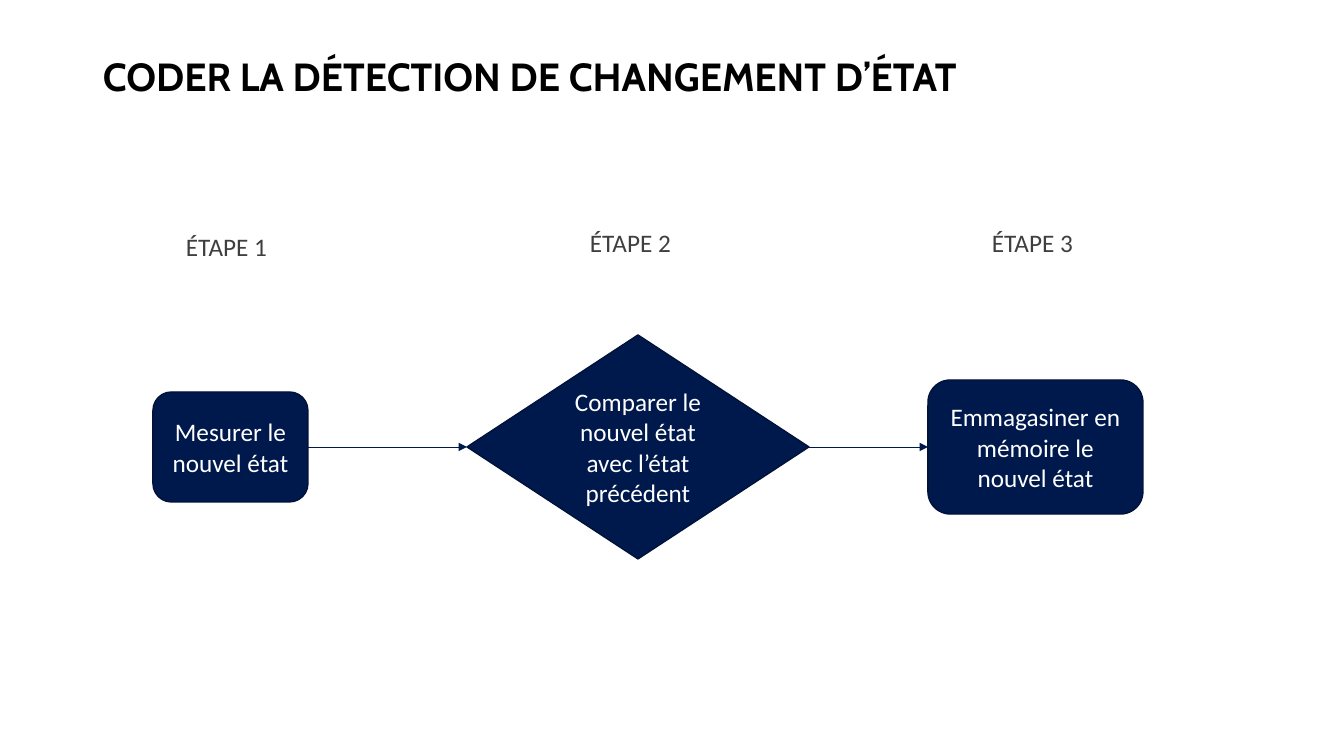
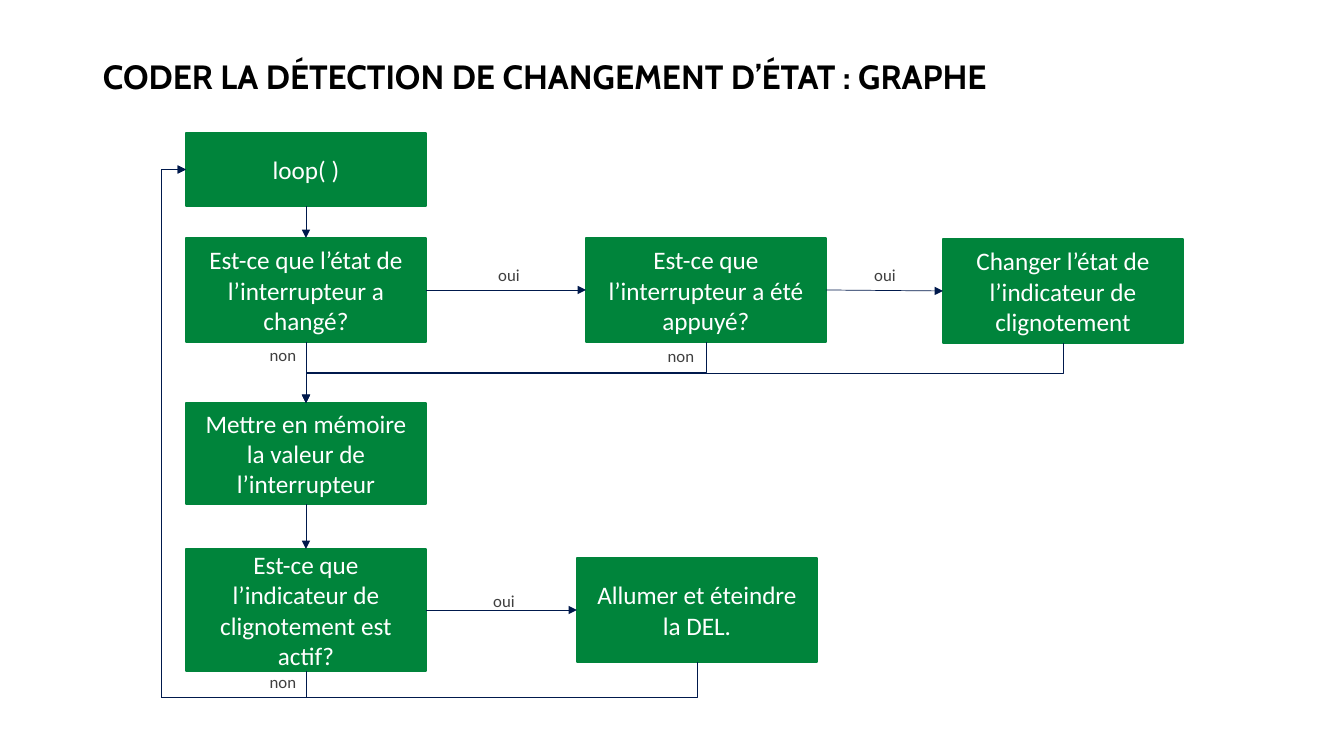
from lxml import etree
from pptx import Presentation
from pptx.dml.color import RGBColor
from pptx.enum.shapes import MSO_CONNECTOR, MSO_SHAPE
from pptx.enum.text import MSO_ANCHOR, MSO_AUTO_SIZE, PP_ALIGN
from pptx.oxml.ns import qn
from pptx.util import Pt

PX = 914400 / 100.8
SLIDE_WIDTH, SLIDE_HEIGHT = 1344, 756

NAVY = RGBColor(0x00, 0x19, 0x4C)
DARK_NAVY = RGBColor(0x00, 0x12, 0x38)
GREEN = RGBColor(0x00, 0x84, 0x3B)
GREY = RGBColor(0x3F, 0x3F, 0x3F)
BLACK = RGBColor(0, 0, 0)
WHITE = RGBColor(255, 255, 255)

TITLE_FONT, BODY_FONT = "Cabin", "Calibri"
TITLE_AREA = (93, 40, 1159, 77)

RECT, ROUNDED, DIAMOND = MSO_SHAPE.RECTANGLE, MSO_SHAPE.ROUNDED_RECTANGLE, MSO_SHAPE.DIAMOND
STRAIGHT, ELBOW = MSO_CONNECTOR.STRAIGHT, MSO_CONNECTOR.ELBOW
CENTER, LEFT = PP_ALIGN.CENTER, PP_ALIGN.LEFT
TOP_SIDE, LEFT_SIDE, BOTTOM_SIDE, RIGHT_SIDE = range(4)
ACROSS = (RIGHT_SIDE, LEFT_SIDE)
DOWN = (BOTTOM_SIDE, TOP_SIDE)

STEPS_TITLE = "CODER LA DÉTECTION DE CHANGEMENT D’ÉTAT"
STEP_LABELS = [("ÉTAPE 1", 176, 226), ("ÉTAPE 2", 580, 222), ("ÉTAPE 3", 982, 222)]
STEP_LABEL_SIZE = (108, 40)
STEP_AXIS = 447
# name: (text, shape, left, width, height)
STEPS = {
    "measure": ("Mesurer le nouvel état", ROUNDED, 153, 155, 110),
    "compare": ("Comparer le nouvel état avec l’état précédent", DIAMOND, 467, 342, 224),
    "store": ("Emmagasiner en mémoire le nouvel état", ROUNDED, 928, 215, 134),
}
STEP_ARROWS = [("measure", "compare", ACROSS), ("compare", "store", ACROSS)]

GRAPH_TITLE = "CODER LA DÉTECTION DE CHANGEMENT D’ÉTAT : GRAPHE"
NODE_WIDTH = 240
# name: (text, left, top, height)
NODES = {
    "loop": ("loop( )", 186, 133, 73),
    "changed": ("Est-ce que l’état de l’interrupteur a changé?", 186, 238, 104),
    "pressed": ("Est-ce que l’interrupteur a été appuyé?", 586, 238, 104),
    "toggle": ("Changer l’état de l’indicateur de clignotement", 943, 239, 104),
    "remember": ("Mettre en mémoire la valeur de l’interrupteur", 186, 403, 101),
    "active": ("Est-ce que l’indicateur de clignotement est actif?", 186, 549, 122),
    "blink": ("Allumer et éteindre la DEL.", 577, 558, 104),
}
NODE_ARROWS = [
    ("loop", "changed", DOWN),
    ("changed", "pressed", ACROSS),
    ("pressed", "toggle", ACROSS),
    ("changed", "remember", DOWN),
    ("remember", "active", DOWN),
    ("active", "blink", ACROSS),
]
MERGES = [("pressed", "remember"), ("toggle", "remember")]
RETURNS = [("active", "loop"), ("blink", "loop")]
RETURN_LEFT, RETURN_BOTTOM = 161, 697
BRANCH_LABELS = [
    ("oui", 478, 260), ("oui", 854, 260), ("oui", 473, 586),
    ("non", 650, 341), ("non", 252, 340), ("non", 252, 667),
]
BRANCH_LABEL_SIZE = (62, 30)


def emu(*lengths):
    return [round(length * PX) for length in lengths]


def add_text(page, text, area, size, color, font=BODY_FONT, align=LEFT, wrap=True):
    box = page.shapes.add_textbox(*emu(*area))
    frame = box.text_frame
    frame.word_wrap = wrap
    para = frame.paragraphs[0]
    para.text = text
    para.alignment = align
    style_font(para.font, font, size, color)
    return box


def style_font(font, name, size, color):
    font.name, font.size = name, Pt(size)
    font.color.rgb = color


def add_page(deck, title, size):
    page = deck.slides.add_slide(deck.slide_layouts[6])
    frame = add_text(page, title, TITLE_AREA, size, BLACK, TITLE_FONT).text_frame
    frame.vertical_anchor = MSO_ANCHOR.MIDDLE
    frame.paragraphs[0].line_spacing = 0.9
    frame.paragraphs[0].font.bold = True
    return page


def add_labels(page, labels, label_size, text_size, align, wrap):
    for text, left, top in labels:
        box = add_text(page, text, (left, top, *label_size), text_size, GREY,
                       align=align, wrap=wrap)
        box.text_frame.auto_size = MSO_AUTO_SIZE.SHAPE_TO_FIT_TEXT


def add_box(page, kind, text, area, fill, outline):
    box = page.shapes.add_shape(kind, *emu(*area))
    box.shadow.inherit = False
    box.fill.solid()
    box.fill.fore_color.rgb = fill
    box.line.color.rgb = outline
    box.line.width = Pt(1)
    frame = box.text_frame
    frame.word_wrap = True
    frame.vertical_anchor = MSO_ANCHOR.MIDDLE
    para = frame.paragraphs[0]
    para.text = text
    para.alignment = CENTER
    style_font(para.font, BODY_FONT, 18, WHITE)
    return box


def add_arrow(page, start, end, sides, kind=STRAIGHT):
    arrow = page.shapes.add_connector(kind, 0, 0, 0, 0)
    arrow.begin_connect(start, sides[0])
    arrow.end_connect(end, sides[1])
    arrow.line.color.rgb = NAVY
    arrow.line.width = Pt(0.5)
    etree.SubElement(arrow.line._get_or_add_ln(), qn("a:tailEnd"), type="triangle")
    etree.SubElement(arrow._element.spPr, qn("a:effectLst"))
    return arrow


def add_elbow(page, start, end, sides, lanes=None):
    """Leave downwards; lanes give the lower and left limits of a return path."""
    arrow = add_arrow(page, start, end, sides, ELBOW)
    x1, y1, x2, y2 = arrow.begin_x, arrow.begin_y, arrow.end_x, arrow.end_y
    width, height = abs(x2 - x1), abs(y2 - y1)
    frame = arrow._element.spPr.find(qn("a:xfrm"))
    for flip in ("flipH", "flipV"):
        frame.attrib.pop(flip, None)
    # The preset starts sideways, so its frame is turned a quarter about the centre.
    frame.set("rot", "5400000")
    arrow.left, arrow.top = (x1 + x2 - height) // 2, (y1 + y2 - width) // 2
    arrow.width, arrow.height = height, width
    if lanes:
        left, bottom = emu(*lanes)
        frame.set("flipH", "1")
        geometry = arrow._element.spPr.find(qn("a:prstGeom"))
        geometry.set("prst", "bentConnector4")
        guides = geometry.find(qn("a:avLst"))
        ratios = ((y1 - bottom) / height, (x1 - left) / width)
        for number, ratio in enumerate(ratios, 1):
            etree.SubElement(guides, qn("a:gd"), name=f"adj{number}",
                             fmla=f"val {round(ratio * 100000)}")


def add_arrows(page, boxes, arrows):
    for start, end, sides in arrows:
        add_arrow(page, boxes[start], boxes[end], sides)


def build_steps(deck):
    page = add_page(deck, STEPS_TITLE, 28)
    add_labels(page, STEP_LABELS, STEP_LABEL_SIZE, 18, LEFT, False)
    boxes = {
        name: add_box(page, kind, text, (left, STEP_AXIS - height / 2, width, height),
                      NAVY, DARK_NAVY)
        for name, (text, kind, left, width, height) in STEPS.items()
    }
    add_arrows(page, boxes, STEP_ARROWS)


def build_graph(deck):
    page = add_page(deck, GRAPH_TITLE, 24)
    boxes = {
        name: add_box(page, RECT, text, (left, top, NODE_WIDTH, height), GREEN, GREEN)
        for name, (text, left, top, height) in NODES.items()
    }
    add_arrows(page, boxes, NODE_ARROWS)
    for start, end in MERGES:
        add_elbow(page, boxes[start], boxes[end], DOWN)
    for start, end in RETURNS:
        add_elbow(page, boxes[start], boxes[end], (BOTTOM_SIDE, LEFT_SIDE),
                  (RETURN_LEFT, RETURN_BOTTOM))
    add_labels(page, BRANCH_LABELS, BRANCH_LABEL_SIZE, 12, CENTER, True)


def main():
    deck = Presentation()
    deck.slide_width, deck.slide_height = emu(SLIDE_WIDTH, SLIDE_HEIGHT)
    build_steps(deck)
    build_graph(deck)
    deck.save("out.pptx")


if __name__ == "__main__":
    main()
